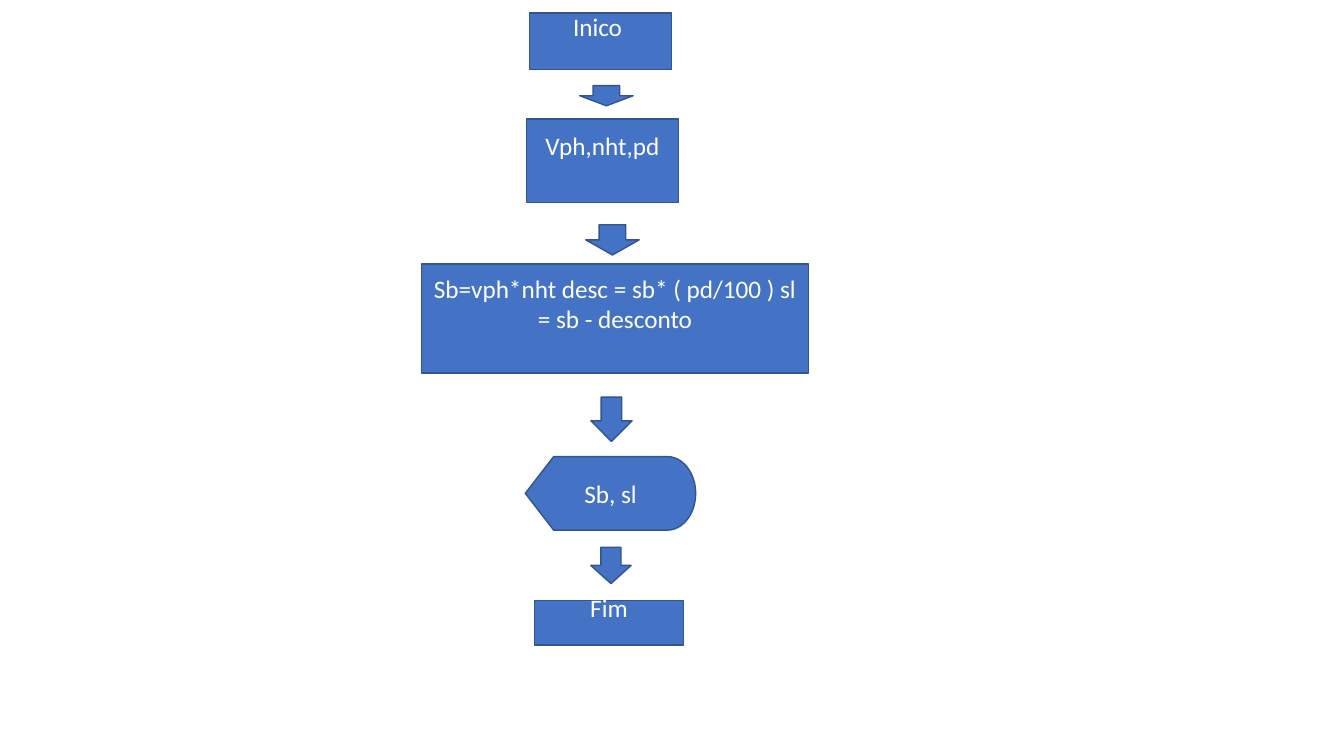
from dataclasses import dataclass

from pptx import Presentation
from pptx.dml.color import RGBColor
from pptx.enum.shapes import MSO_SHAPE
from pptx.enum.text import MSO_ANCHOR, PP_ALIGN
from pptx.util import Inches, Pt

RECT = MSO_SHAPE.RECTANGLE
DISPLAY = MSO_SHAPE.FLOWCHART_DISPLAY
DOWN_ARROW = MSO_SHAPE.DOWN_ARROW
MIDDLE = MSO_ANCHOR.MIDDLE
CENTER = PP_ALIGN.CENTER

CELL = 0.1  # inches per grid column and row


@dataclass(frozen=True)
class Theme:
    fill: RGBColor = RGBColor(0x44, 0x72, 0xC4)
    outline: RGBColor = RGBColor(0x32, 0x54, 0x91)
    text: RGBColor = RGBColor(0xFF, 0xFF, 0xFF)
    font: str = "Calibri"
    size: int = 18
    line: int = 1


THEME = Theme()

# Steps: kind, label, then left, top, width, height in grid cells
STEPS = [
    (RECT, "Inico ", 52.5, 1.3, 14.1, 5.6),
    (RECT, "Vph,nht,pd", 52.2, 11.8, 15.1, 8.3),
    (RECT, "Sb=vph*nht desc = sb* ( pd/100 ) sl = sb - desconto",
     41.8, 26.2, 38.4, 10.8),
    (DISPLAY, "Sb, sl", 52.1, 45.3, 16.9, 7.3),
    (RECT, "Fim", 53, 59.6, 14.8, 4.4),
]

# Arrows between the steps: left, top, width, height in grid cells
ARROWS = [
    (57.5, 8.5, 5.3, 2),
    (58.1, 22.3, 5.3, 3),
    (58.6, 39.4, 4.1, 4.4),
    (58.6, 54.3, 4, 3.6),
]


def add_block(slide, kind, cells):
    block = slide.shapes.add_shape(kind, *(Inches(n * CELL) for n in cells))
    block.shadow.inherit = False
    block.fill.solid()
    block.fill.fore_color.rgb = THEME.fill
    block.line.color.rgb = THEME.outline
    block.line.width = Pt(THEME.line)
    return block


def add_step(slide, kind, label, *cells):
    frame = add_block(slide, kind, cells).text_frame
    frame.text = label
    frame.word_wrap = True
    frame.vertical_anchor = MIDDLE
    if kind == RECT:
        # Labels in rectangles sit half a line above the middle
        frame.margin_bottom = Inches(0.35)
    paragraph = frame.paragraphs[0]
    paragraph.alignment = CENTER
    font = paragraph.runs[0].font
    font.name = THEME.font
    font.size = Pt(THEME.size)
    font.color.rgb = THEME.text


def main():
    deck = Presentation()
    deck.slide_width, deck.slide_height = Inches(13.33), Inches(7.5)
    slide = deck.slides.add_slide(deck.slide_layouts[6])

    # Flowchart steps
    for step in STEPS:
        add_step(slide, *step)

    # Flow from one step to the next
    for cells in ARROWS:
        add_block(slide, DOWN_ARROW, cells)

    deck.save("out.pptx")


main()
